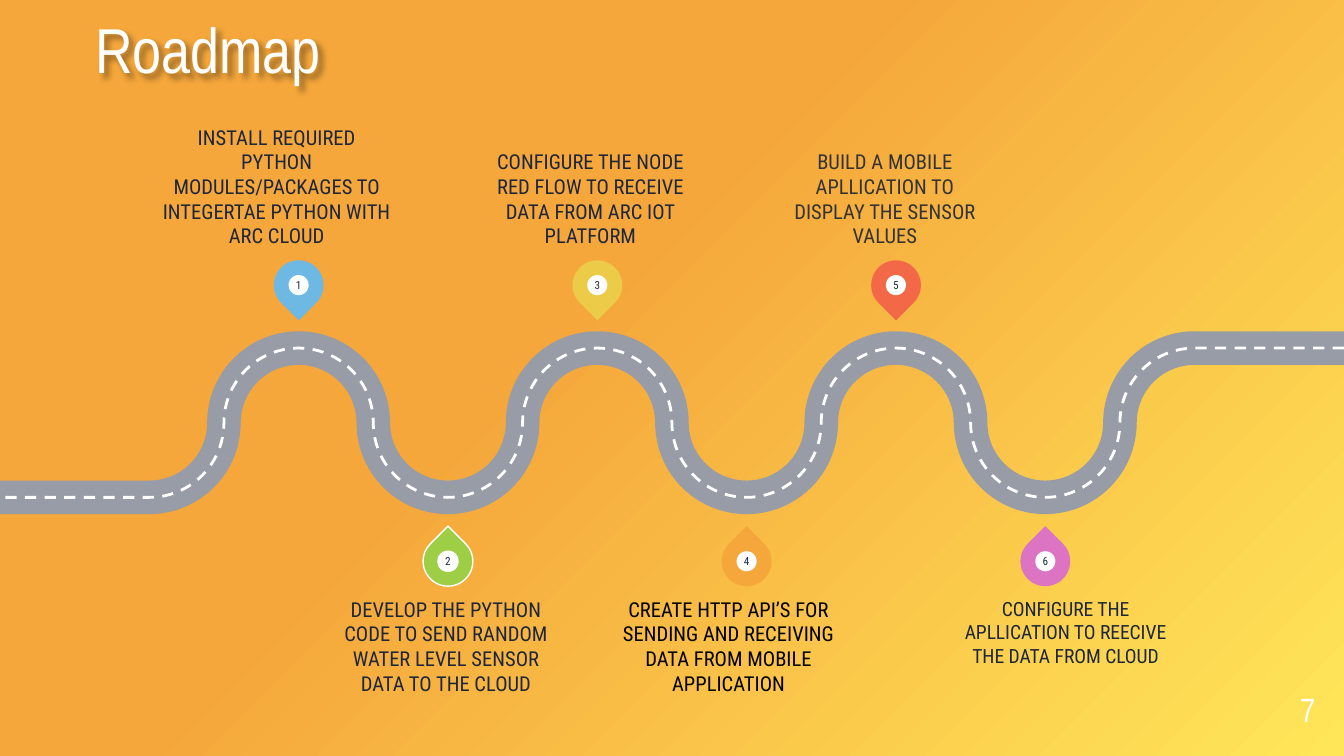
from pptx import Presentation
from pptx.dml.color import RGBColor as RGB
from pptx.enum.dml import MSO_LINE as Dash
from pptx.enum.shapes import MSO_SHAPE as Kind
from pptx.enum.text import MSO_ANCHOR as Anchor, PP_ALIGN as Align
from pptx.oxml import parse_xml
from pptx.oxml.ns import nsdecls, qn
from pptx.util import Cm, Pt

WHITE = RGB(0xFF, 0xFF, 0xFF)
BLACK = RGB(0x00, 0x00, 0x00)
NAVY = RGB(0x1E, 0x26, 0x3A)
DARK = RGB(0x33, 0x33, 0x33)
GREY = RGB(0x98, 0x9C, 0xA7)
BLUE = RGB(0x6D, 0xB9, 0xE4)
GREEN = RGB(0x9E, 0xCE, 0x46)
GOLD = RGB(0xEC, 0xCB, 0x49)
ORANGE = RGB(0xF5, 0xA7, 0x3B)
RED = RGB(0xF3, 0x68, 0x46)
PINK = RGB(0xDD, 0x73, 0xC3)
YELLOW = RGB(0xFF, 0xE6, 0x59)

HEAD = "Arial Narrow"
BODY = "Roboto Condensed"

WIDE, HIGH = Cm(25.4), Cm(14.29)
BEND = WIDE // 18          # radius of each road bend
TOP = Cm(6.58)             # upper level of the road
PIN, DOT = Cm(0.94), Cm(0.38)

# colour, text, text colour, size, left, width (cm); odd steps sit above
STEPS = [
    (BLUE, "INSTALL REQUIRED PYTHON MODULES/PACKAGES TO INTEGERTAE "
     "PYTHON WITH ARC CLOUD", NAVY, 11, 3.07, 4.32),
    (GREEN, "DEVELOP THE PYTHON CODE TO SEND RANDOM WATER LEVEL SENSOR "
     "DATA TO THE CLOUD", NAVY, 11, 6.27, 4.32),
    (GOLD, "CONFIGURE THE NODE RED FLOW TO RECEIVE DATA FROM ARC IOT "
     "PLATFORM", NAVY, 11, 9.37, 3.58),
    (ORANGE, "CREATE HTTP API’S FOR SENDING AND RECEIVING DATA FROM "
     "MOBILE APPLICATION", BLACK, 11, 11.61, 4.32),
    (RED, "BUILD A MOBILE APLLICATION TO DISPLAY THE SENSOR VALUES",
     DARK, 11, 14.78, 3.89),
    (PINK, "CONFIGURE THE APLLICATION TO REECIVE THE DATA FROM CLOUD",
     NAVY, 10.5, 17.98, 4.32),
]


def paint(slide):
    """Give the slide a gradient that starts in the lower right corner."""
    slide.background.fill.gradient()
    grad = next(slide.element.iter(qn("a:gradFill")))
    for part in list(grad):
        grad.remove(part)
    stops = "".join(
        f'<a:gs pos="{pos * 1000}"><a:srgbClr val="{color}"/></a:gs>'
        for pos, color in [(0, YELLOW), (58, ORANGE), (100, ORANGE)])
    grad.append(parse_xml(f'<a:gsLst {nsdecls("a")}>{stops}</a:gsLst>'))
    grad.append(parse_xml(
        f'<a:path {nsdecls("a")} path="circle">'
        '<a:fillToRect l="100000" t="100000"/></a:path>'))


def write(shape, text, size, color, font=BODY, align=Align.CENTER,
          anchor=Anchor.TOP, space=None):
    frame = shape.text_frame
    frame.word_wrap = True
    frame.vertical_anchor = anchor
    frame.margin_left = frame.margin_right = 0
    frame.margin_top = frame.margin_bottom = 0
    para = frame.paragraphs[0]
    para.alignment = align
    para.line_spacing = space
    run = para.add_run()
    run.text = text
    run.font.size = Pt(size)
    run.font.name = font
    run.font.color.rgb = color


def add_head(slide):
    title = slide.shapes.title
    title.left, title.top = Cm(1.8), Cm(0.56)
    title.width, title.height = Cm(21.08), Cm(1.09)
    write(title, "Roadmap", 34, WHITE, HEAD, Align.LEFT, Anchor.BOTTOM, 0.9)
    title.element.spPr.append(parse_xml(
        f'<a:effectLst {nsdecls("a")}>'
        '<a:outerShdw blurRad="38100" dist="38100" dir="2700000">'
        '<a:srgbClr val="000000"><a:alpha val="40000"/></a:srgbClr>'
        '</a:outerShdw></a:effectLst>'))


def add_text(slide, left, top, width, height, *args, **style):
    box = slide.shapes.add_textbox(Cm(left), Cm(top), Cm(width), Cm(height))
    write(box, *args, **style)


def add_road(slide, color, width, dash=None):
    """Draw the road from right to left: a quarter, six halves, a quarter."""
    form = slide.shapes.build_freeform(WIDE, TOP)
    form.add_line_segments(
        [(16 * BEND, TOP), (0, TOP + 2 * BEND)], close=False)
    road = form.convert_to_shape()
    road.shadow.inherit = False
    road.fill.background()
    road.line.color.rgb = color
    road.line.width = Pt(width)
    road.line.dash_style = dash
    last = list(road.element.iter(qn("a:lnTo")))[-1]
    arcs = [(270, -90), *[(0, 180), (0, -180)] * 3, (0, 90)]
    for start, sweep in arcs:
        last.addprevious(parse_xml(
            f'<a:arcTo {nsdecls("a")} wR="{BEND}" hR="{BEND}" '
            f'stAng="{start * 60000}" swAng="{sweep * 60000}"/>'))


def add_mark(group, kind, x, y, size, color, edge):
    mark = group.shapes.add_shape(
        kind, x - size // 2, y - size // 2, size, size)
    mark.shadow.inherit = False
    mark.fill.solid()
    mark.fill.fore_color.rgb = color
    if edge:
        mark.line.color.rgb = WHITE
        mark.line.width = Pt(0.75)
    else:
        mark.line.fill.background()
    return mark


def add_pin(slide, num, color):
    above = num % 2 == 1
    x, y = 2 * BEND * (num + 1), Cm(5.39 if above else 10.61)
    edge = num == 2
    group = slide.shapes.add_group_shape()
    drop = add_mark(group, Kind.TEAR, x, y, PIN, color, edge)
    drop.rotation = 135 if above else 315
    dot = add_mark(group, Kind.OVAL, x, y, DOT, WHITE, edge)
    write(dot, str(num), 6, NAVY, anchor=Anchor.MIDDLE)


def main():
    deck = Presentation()
    deck.slide_width, deck.slide_height = WIDE, HIGH
    slide = deck.slides.add_slide(deck.slide_layouts[5])
    paint(slide)

    # Title and page number
    add_head(slide)
    add_text(slide, 23.34, 12.9, 1.52, 0.89, "7", 18, WHITE, HEAD,
             Align.RIGHT, Anchor.BOTTOM, 0.9)

    # Road and its centre line
    add_road(slide, GREY, 18)
    add_road(slide, WHITE, 1.5, Dash.DASH)

    # Numbered pins with their steps
    for num, (fill, text, color, size, left, width) in enumerate(STEPS, 1):
        add_pin(slide, num, fill)
        top, anchor = ((2.51, Anchor.BOTTOM) if num % 2
                       else (11.28, Anchor.TOP))
        add_text(slide, left, top, width, 2.18, text, size, color,
                 anchor=anchor)

    deck.save("out.pptx")


if __name__ == "__main__":
    main()
